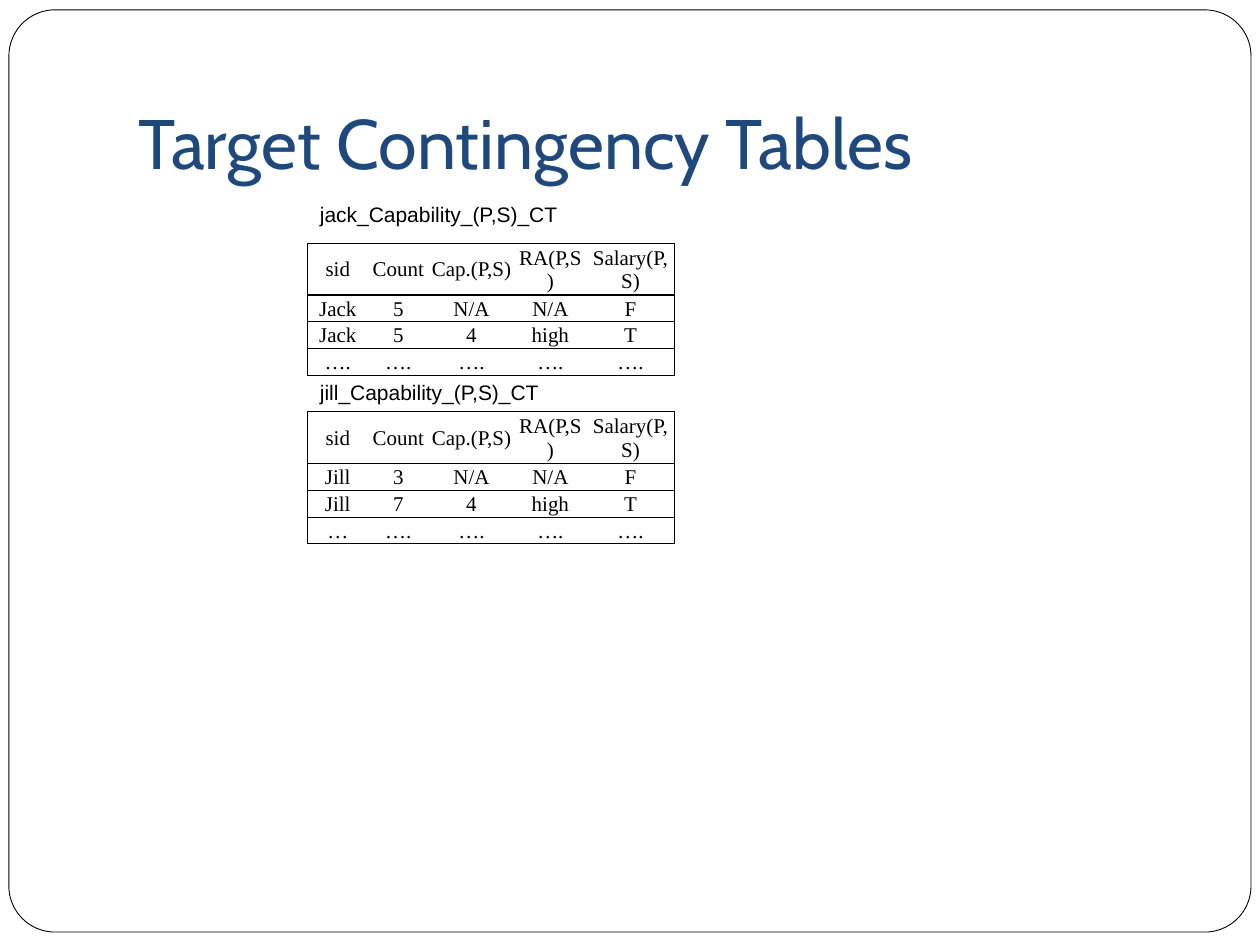
from lxml.etree import SubElement as Sub
from pptx import Presentation
from pptx.dml.color import RGBColor
from pptx.enum.shapes import MSO_SHAPE as Shape
from pptx.enum.text import MSO_ANCHOR as Anchor, PP_ALIGN as Align
from pptx.oxml.ns import qn
from pptx.util import Cm, Pt


def color(code):
    return RGBColor.from_string(code)


def write(frame, text, font="Arial", size=12, ink="000000", align=Align.LEFT):
    frame.word_wrap = True
    para = frame.paragraphs[0]
    para.alignment = align
    run = para.add_run()
    run.text = text
    run.font.name = font
    run.font.size = Pt(size)
    run.font.color.rgb = color(ink)


deck = Presentation()
deck.slide_width, deck.slide_height = Cm(25.4), Cm(19.05)
slide = deck.slides.add_slide(deck.slide_layouts[6])
shapes = slide.shapes

border = shapes.add_shape(Shape.ROUNDED_RECTANGLE, Cm(0.18), Cm(0.2), Cm(25.04), Cm(18.59))
border.adjustments[0] = 0.05
border.shadow.inherit = False
border.fill.solid()
border.fill.fore_color.rgb = color("FFFFFF")
border.line.color.rgb = color("000000")
border.line.width = Pt(0.5)

title = shapes.add_textbox(Cm(2.54), Cm(0.76), Cm(21.59), Cm(3.18)).text_frame
title.vertical_anchor = Anchor.BOTTOM
title.margin_bottom = Cm(0.25)
write(title, "Target Contingency Tables", font="Cabin", size=40, ink="1F497D")

left = 6.2
widths = [1.22, 1.22, 1.73, 1.45, 1.78]
heights = [0.53, 0.5, 0.5, 0.5]
head = ["sid", "Count", "Cap.(P,S)", "RA(P,S)", "Salary(P,S)"]
dots = "…."

# Caption, caption top, table top, sid, counts, first cell of the last row
tables = [
    ("jack_Capability_(P,S)_CT", 3.94, 4.9, "Jack", ("5", "5"), dots),
    ("jill_Capability_(P,S)_CT", 7.52, 8.3, "Jill", ("3", "7"), "…"),
]

for label, high, top, sid, counts, last in tables:
    box = shapes.add_textbox(Cm(left), Cm(high), Cm(7.67), Cm(0.76))
    write(box.text_frame, label)

    rows = [
        head,
        [sid, counts[0], "N/A", "N/A", "F"],
        [sid, counts[1], "4", "high", "T"],
        [last] + [dots] * 4,
    ]
    table = shapes.add_table(len(rows), len(head), Cm(left), Cm(top),
                             Cm(sum(widths)), Cm(sum(heights))).table
    table.first_row = table.horz_banding = False
    for col, width in zip(table.columns, widths):
        col.width = Cm(width)
    for row, height in zip(table.rows, heights):
        row.height = Cm(height)

    for r, texts in enumerate(rows):
        for c, text in enumerate(texts):
            cell = table.cell(r, c)
            cell.vertical_anchor = Anchor.MIDDLE
            cell.margin_left = cell.margin_right = cell.margin_top = Cm(0.03)
            cell.margin_bottom = 0
            write(cell.text_frame, text, font="Times New Roman", align=Align.CENTER)

            # Rules between all rows, but only at the outer sides of the columns
            props = cell._tc.get_or_add_tcPr()
            sides = {"L": c == 0, "R": c == len(head) - 1, "T": True, "B": True}
            for side, shown in sides.items():
                line = Sub(props, qn("a:ln" + side), w=str(Pt(0.75)))
                if shown:
                    Sub(Sub(line, qn("a:solidFill")), qn("a:srgbClr"), val="000000")
                else:
                    Sub(line, qn("a:noFill"))
            cell.fill.background()

deck.save("out.pptx")
